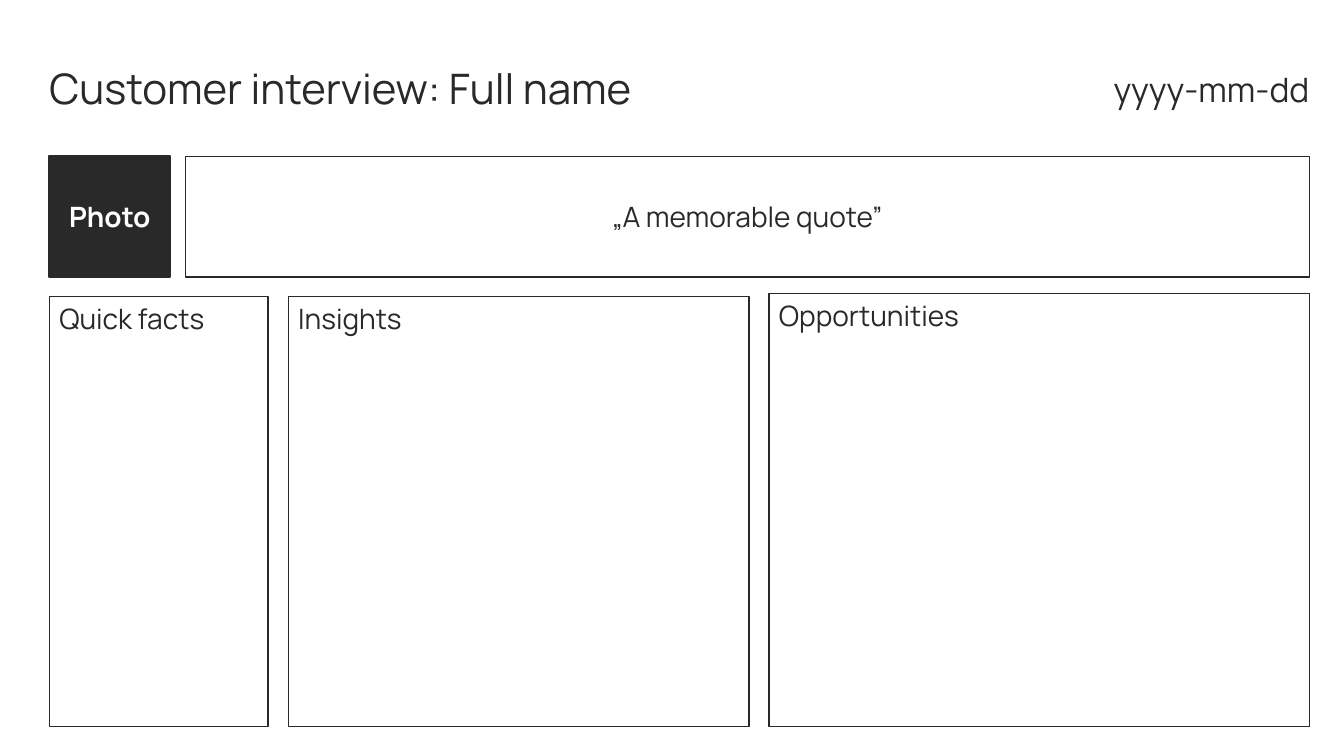
from pptx import Presentation
from pptx.dml.color import RGBColor
from pptx.enum.shapes import MSO_SHAPE
from pptx.enum.text import MSO_ANCHOR, PP_ALIGN
from pptx.util import Pt

COLORS = {"ink": "292929", "paper": "FFFFFF"}
FONT = "Manrope"
LEFT, RIGHT, BOTTOM = 35.28, 935.28, 519.12
BANNER_TOP, BANNER_HEIGHT = 111.6, 86.4


def color(name):
    return RGBColor.from_string(COLORS[name])


def write(box, text, size, ink="ink", align=PP_ALIGN.LEFT,
          anchor=MSO_ANCHOR.TOP, margins=(0, 0), bold=False):
    frame = box.text_frame
    frame.text = text
    frame.word_wrap = True
    frame.vertical_anchor = anchor
    frame.margin_left = frame.margin_right = Pt(margins[0])
    frame.margin_top = frame.margin_bottom = Pt(margins[1])
    para = frame.paragraphs[0]
    para.alignment = align
    font = para.runs[0].font
    font.name, font.size, font.bold = FONT, Pt(size), bold
    font.color.rgb = color(ink)


def add_label(page, text, left, top, width, height, size, align=PP_ALIGN.LEFT):
    box = page.shapes.add_textbox(Pt(left), Pt(top), Pt(width), Pt(height))
    write(box, text, size, align=align)


def add_panel(page, text, left, top, right, bottom, fill="paper", ink="ink",
              border=1, **text_options):
    box = page.shapes.add_shape(MSO_SHAPE.RECTANGLE, Pt(left), Pt(top),
                                Pt(right - left), Pt(bottom - top))
    box.shadow.inherit = False
    box.fill.solid()
    box.fill.fore_color.rgb = color(fill)
    box.line.color.rgb = color("ink")
    box.line.width = Pt(border)
    write(box, text, 20, ink, margins=(7.2, 3.6), **text_options)


def main():
    deck = Presentation()
    deck.slide_width, deck.slide_height = Pt(960), Pt(540)
    page = deck.slides.add_slide(deck.slide_layouts[6])

    # Heading and date
    add_label(page, "Customer interview: Full name", LEFT, 44.64, 499.68, 46.8, 30)
    add_label(page, "yyyy-mm-dd", RIGHT - 198, 48.96, 198, 33.12, 24, PP_ALIGN.RIGHT)

    # Photo and quote
    banner_bottom = BANNER_TOP + BANNER_HEIGHT
    centred = {"align": PP_ALIGN.CENTER, "anchor": MSO_ANCHOR.MIDDLE}
    add_panel(page, "Photo", LEFT, BANNER_TOP, LEFT + BANNER_HEIGHT, banner_bottom,
              fill="ink", ink="paper", border=1.5, bold=True, **centred)
    add_panel(page, "„A memorable quote”", 132.48, BANNER_TOP, RIGHT, banner_bottom,
              **centred)

    # Note panels, sharing one bottom edge
    for title, left, top, right in (
        ("Quick facts", LEFT, 211.68, 191.52),
        ("Insights", 205.92, 211.68, 534.96),
        ("Opportunities", 549.36, 209.52, RIGHT),
    ):
        add_panel(page, title, left, top, right, BOTTOM)

    deck.save("out.pptx")


if __name__ == "__main__":
    main()
